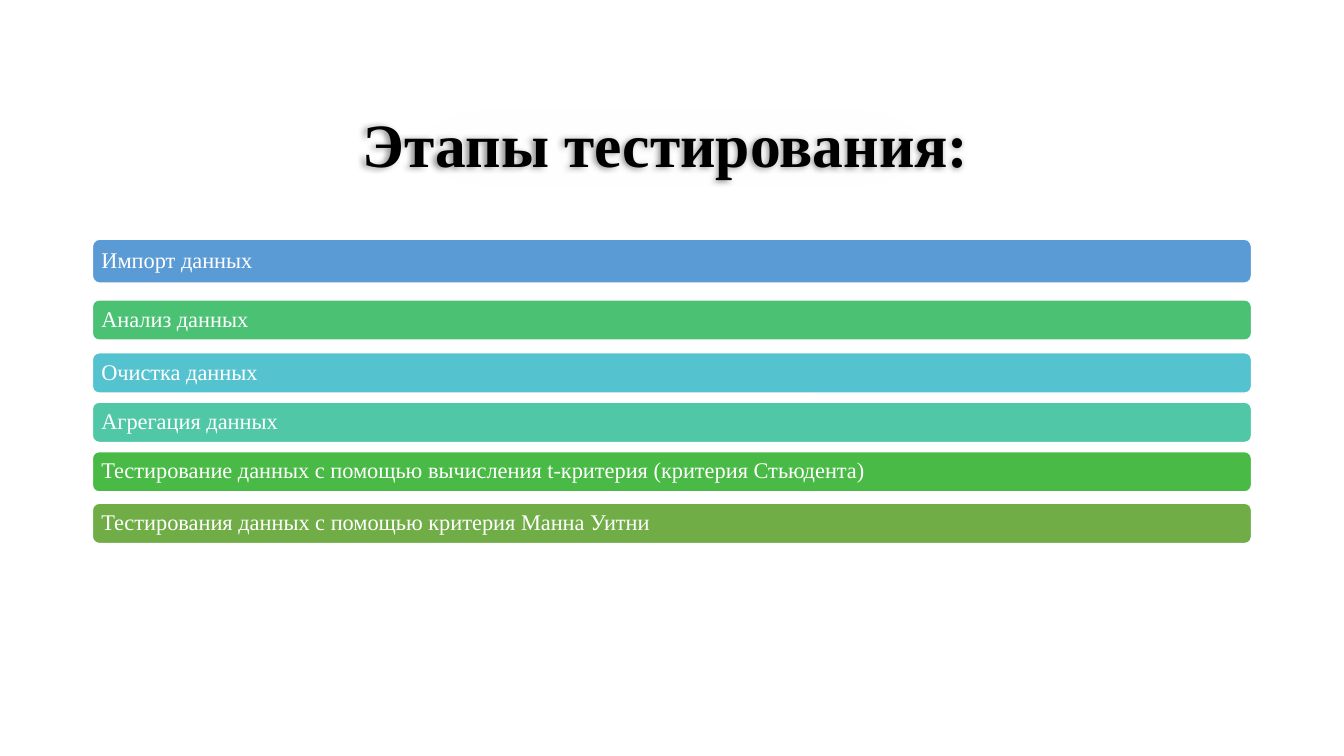
import pptx
import pptx.util
import pptx.dml.color
import pptx.enum.shapes
import pptx.enum.text
import pptx.oxml
import pptx.oxml.ns

Pt = pptx.util.Pt
RGB = pptx.dml.color.RGBColor.from_string

THEME = {
    "font": "Times New Roman",
    "title_size": 44,
    "stage_size": 16,
    "ink": "000000",
    "paper": "FFFFFF",
    "title_fill": "E2F0D9",
}


def write_text(shape, text, *, size, color, bold=False, inset=(7.2, 3.6)):
    """Put one left-aligned, vertically centred line of text into a shape."""
    frame = shape.text_frame
    frame.word_wrap = True
    frame.auto_size = pptx.enum.text.MSO_AUTO_SIZE.NONE
    frame.vertical_anchor = pptx.enum.text.MSO_ANCHOR.MIDDLE
    frame.margin_left = frame.margin_right = Pt(inset[0])
    frame.margin_top = frame.margin_bottom = Pt(inset[1])
    paragraph = frame.paragraphs[0]
    paragraph.alignment = pptx.enum.text.PP_ALIGN.LEFT
    paragraph.line_spacing = 0.9
    run = paragraph.add_run()
    run.text = text
    run.font.name = THEME["font"]
    run.font.size = Pt(size)
    run.font.bold = bold
    run.font.color.rgb = RGB(color)


deck = pptx.Presentation()
deck.slide_width, deck.slide_height = Pt(960), Pt(540)
slide = deck.slides.add_slide(deck.slide_layouts[5])

# Title with a faint, soft-edged background and a shadow to the left
title = slide.shapes.title
title.left, title.top, title.width, title.height = Pt(252), Pt(53.3), Pt(456.5), Pt(104.4)
title.fill.solid()
title.fill.fore_color.rgb = RGB(THEME["title_fill"])
write_text(title, "Этапы тестирования:", size=THEME["title_size"],
           color=THEME["ink"], bold=True)
namespace = pptx.oxml.ns.nsdecls("a")
title_color = title.fill._xPr.find(".//" + pptx.oxml.ns.qn("a:srgbClr"))
title_color.append(pptx.oxml.parse_xml(f'<a:alpha {namespace} val="8000"/>'))
title.fill._xPr.append(pptx.oxml.parse_xml(
    f'<a:effectLst {namespace}>'
    f'<a:outerShdw blurRad="{Pt(4)}" dist="{Pt(3)}" dir="10800000" algn="r" rotWithShape="0">'
    f'<a:srgbClr val="{THEME["ink"]}"><a:alpha val="40000"/></a:srgbClr></a:outerShdw>'
    f'<a:softEdge rad="{Pt(50)}"/></a:effectLst>'))

# Stages: text, top, height, fill
stages = [
    ("Импорт данных", 170.8, 31.5, "5B9BD5"),
    ("Анализ данных", 214.2, 28.8, "4BC174"),
    ("Очистка данных", 252, 28.8, "55C3CF"),
    ("Агрегация данных", 287.3, 28.8, "50C8A7"),
    ("Тестирование данных с помощью вычисления t-критерия (критерия Стьюдента)",
     322.6, 28.8, "4ABA46"),
    ("Тестирования данных с помощью критерия Манна Уитни", 359.5, 28.8, "70AD47"),
]
for text, top, height, fill in stages:
    stage = slide.shapes.add_shape(pptx.enum.shapes.MSO_SHAPE.ROUNDED_RECTANGLE,
                                   Pt(66), Pt(top), Pt(828), Pt(height))
    stage.shadow.inherit = False
    stage.fill.solid()
    stage.fill.fore_color.rgb = RGB(fill)
    stage.line.color.rgb = RGB(THEME["paper"])
    stage.line.width = Pt(1)
    write_text(stage, text, size=THEME["stage_size"], color=THEME["paper"], inset=(5, 5))

deck.save("out.pptx")
